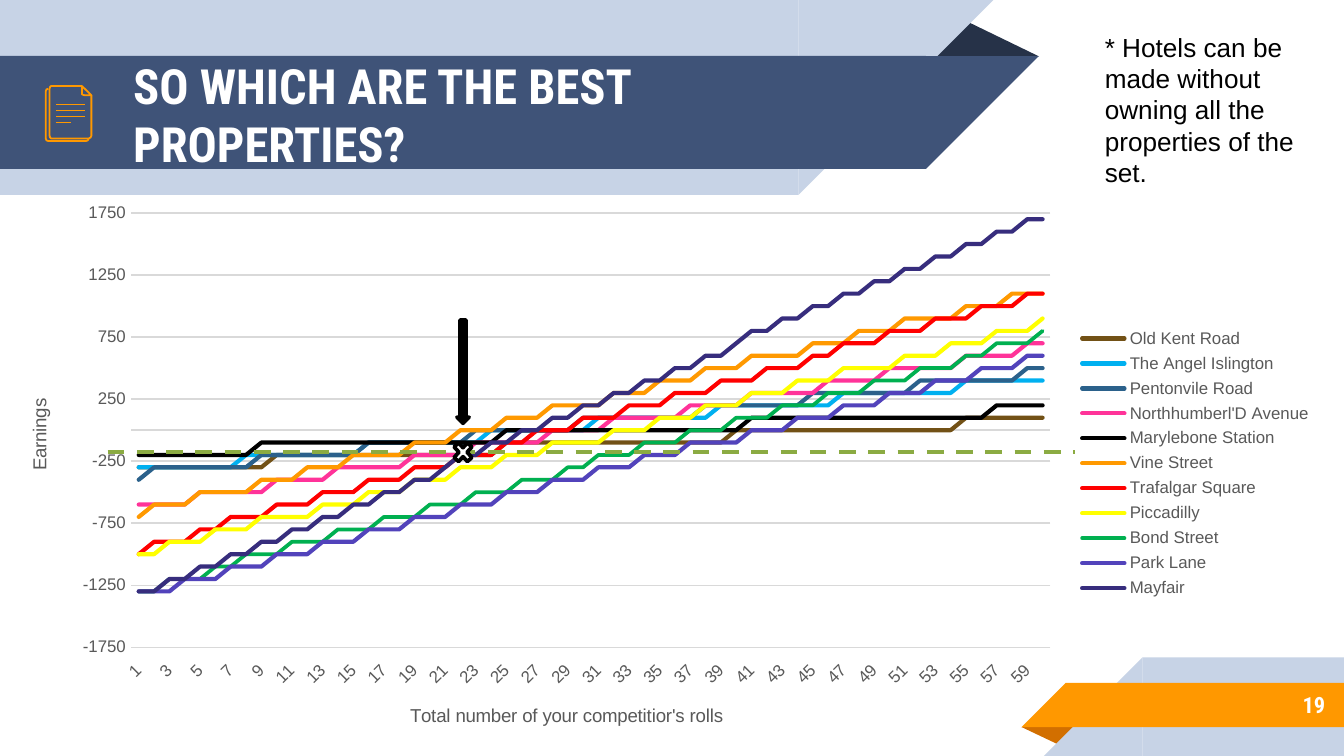
import pptx
import pptx.chart.data
import pptx.dml.color
import pptx.enum.chart
import pptx.enum.dml
import pptx.enum.shapes
import pptx.enum.text
import pptx.oxml
import pptx.oxml.ns
import pptx.util

Pt = pptx.util.Pt
RGBColor = pptx.dml.color.RGBColor
Shape = pptx.enum.shapes.MSO_SHAPE
Align = pptx.enum.text.PP_ALIGN
Anchor = pptx.enum.text.MSO_ANCHOR

WHITE = RGBColor(0xFF, 0xFF, 0xFF)
BLACK = RGBColor(0x00, 0x00, 0x00)
PALE = RGBColor(0xC7, 0xD3, 0xE6)
NAVY = RGBColor(0x3F, 0x53, 0x78)
DARK_NAVY = RGBColor(0x26, 0x32, 0x48)
ORANGE = RGBColor(0xFF, 0x98, 0x00)
DARK_ORANGE = RGBColor(0xD2, 0x6F, 0x00)
GREEN = RGBColor(0x8B, 0xAB, 0x42)
GREY = RGBColor(0x59, 0x59, 0x59)
GRID = RGBColor(0xD9, 0xD9, 0xD9)

ROLLS = 60
# Property, line colour, earnings after the first and the last roll
PROPERTIES = [
    ("Old Kent Road", RGBColor(0x72, 0x51, 0x16), -305, 85),
    ("The Angel Islington", RGBColor(0x00, 0xB0, 0xF0), -335, 427),
    ("Pentonvile Road", RGBColor(0x2B, 0x61, 0x8B), -355, 470),
    ("Northhumberl'D Avenue", RGBColor(0xFF, 0x33, 0x99), -637, 677),
    ("Marylebone Station", BLACK, -195, 173),
    ("Vine Street", RGBColor(0xFF, 0x99, 0x00), -670, 1130),
    ("Trafalgar Square", RGBColor(0xFF, 0x00, 0x00), -955, 1105),
    ("Piccadilly", RGBColor(0xFF, 0xFF, 0x00), -1000, 863),
    ("Bond Street", RGBColor(0x00, 0xB0, 0x50), -1290, 758),
    ("Park Lane", RGBColor(0x52, 0x43, 0xBB), -1319, 597),
    ("Mayfair", RGBColor(0x37, 0x2D, 0x7D), -1349, 1749),
]


def add_text(text, left, top, width, height, size, font="Arial", color=BLACK,
             bold=False, align=Align.LEFT, anchor=Anchor.TOP, inset=3.6):
    box = page.shapes.add_textbox(Pt(left), Pt(top), Pt(width), Pt(height))
    frame = box.text_frame
    frame.word_wrap = True
    frame.vertical_anchor = anchor
    frame.margin_top = frame.margin_bottom = Pt(inset)
    para = frame.paragraphs[0]
    para.alignment = align
    span = para.add_run()
    span.text = text
    span.font.name = font
    span.font.size = Pt(size)
    span.font.bold = bold
    span.font.color.rgb = color


def set_layout(parent, index, inner=False, **places):
    """Place a chart part by fractions of the chart's size."""
    for old in parent.findall(pptx.oxml.ns.qn("c:layout")):
        parent.remove(old)
    target = '<c:layoutTarget val="inner"/>' if inner else ""
    modes = "".join(f'<c:{key}Mode val="edge"/>' for key in ("x", "y"))
    values = "".join(f'<c:{key} val="{value}"/>' for key, value in places.items())
    parent.insert(index, pptx.oxml.parse_xml(
        f'<c:layout {pptx.oxml.ns.nsdecls("c")}><c:manualLayout>'
        f'{target}{modes}{values}</c:manualLayout></c:layout>'))


deck = pptx.Presentation()
deck.slide_width, deck.slide_height = Pt(720), Pt(405)
page = deck.slides.add_slide(deck.slide_layouts[6])

# Ribbons: kind, left, top, width, height, colour, rotation, mirrored
ribbons = [
    (Shape.ISOSCELES_TRIANGLE, 495.4, 10, 61.2, 20.2, DARK_NAVY, 0, False),
    (Shape.RECTANGLE, 0, 0, 427.7, 104.4, PALE, 0, False),
    (Shape.RIGHT_TRIANGLE, 427.7, 0, 104.4, 104.4, PALE, 180, True),
    (Shape.RECTANGLE, 0, 30, 496.1, 60.5, NAVY, 0, False),
    (Shape.RIGHT_TRIANGLE, 496.1, 30, 60.5, 60.5, NAVY, 180, True),
    (Shape.ISOSCELES_TRIANGLE, 547.2, 389.5, 31, 10, DARK_ORANGE, 180, False),
    (Shape.RECTANGLE, 612, 352.2, 108, 52.8, PALE, 0, False),
    (Shape.RIGHT_TRIANGLE, 559.2, 352.2, 52.8, 52.8, PALE, 0, True),
    (Shape.RECTANGLE, 571, 365.8, 149, 23.8, ORANGE, 0, False),
    (Shape.RIGHT_TRIANGLE, 547.2, 365.8, 23.8, 23.8, ORANGE, 0, True),
]
for kind, left, top, width, height, color, rotation, mirrored in ribbons:
    ribbon = page.shapes.add_shape(kind, Pt(left), Pt(top), Pt(width), Pt(height))
    ribbon.shadow.inherit = False
    ribbon.fill.solid()
    ribbon.fill.fore_color.rgb = color
    ribbon.line.fill.background()
    ribbon.rotation = rotation
    if mirrored:
        ribbon._element.spPr.xfrm.set("flipH", "1")
    if kind == Shape.ISOSCELES_TRIANGLE:
        ribbon.adjustments[0] = 0.32

add_text("SO WHICH ARE THE BEST PROPERTIES?", 64.3, 31, 414, 60.5, size=26,
         font="Roboto Condensed", color=WHITE, bold=True, anchor=Anchor.MIDDLE,
         inset=7.2)

# Earnings chart, with values to the nearest hundred
data = pptx.chart.data.CategoryChartData(number_format="General")
data.categories = [str(roll) for roll in range(1, ROLLS + 1)]
for name, color, first, last in PROPERTIES:
    step = (last - first) / (ROLLS - 1)
    data.add_series(name, [100 * round((first + step * roll) / 100)
                           for roll in range(ROLLS)])
chart = page.shapes.add_chart(
    pptx.enum.chart.XL_CHART_TYPE.LINE, Pt(0), Pt(91.6), Pt(709.6), Pt(314), data).chart
chart.has_title = False
chart.font.name = "Arial"
chart.font.size = Pt(9)
chart.font.color.rgb = GREY
set_layout(chart._chartSpace.chart.plotArea, 0, inner=True,
           x=0.099, y=0.019, w=0.694, h=0.794)

for series, (name, color, first, last) in zip(chart.plots[0].series, PROPERTIES):
    series.smooth = False
    series.marker.style = pptx.enum.chart.XL_MARKER_STYLE.NONE
    series.format.line.color.rgb = color
    series.format.line.width = Pt(2 if name == "Bond Street" else 2.25)
    series._element.spPr.find(pptx.oxml.ns.qn("a:ln")).set("cap", "rnd")

rolls_axis, earnings_axis = chart.category_axis, chart.value_axis
for axis, title, x, y in (
        (rolls_axis, "Total number of your competitior's rolls", 0.307, 0.903),
        (earnings_axis, "Earnings", 0.018, 0.383)):
    axis.major_tick_mark = axis.minor_tick_mark = pptx.enum.chart.XL_TICK_MARK.NONE
    axis.tick_labels.font.size = Pt(9)
    axis.tick_labels.font.color.rgb = GREY
    para = axis.axis_title.text_frame.paragraphs[0]
    span = para.add_run()
    span.text = title
    span.font.name = "Arial"
    span.font.size = Pt(10)
    span.font.bold = False
    span.font.color.rgb = GREY
    set_layout(axis.axis_title._element, 1, x=x, y=y)

rolls_axis.tick_label_position = pptx.enum.chart.XL_TICK_LABEL_POSITION.LOW
rolls_axis.format.line.color.rgb = GRID
rolls_axis.format.line.width = Pt(0.75)
rolls_axis._element.txPr.bodyPr.set("rot", "-2700000")
earnings_axis.minimum_scale = -1750
earnings_axis.maximum_scale = 2000
earnings_axis.major_unit = 500
earnings_axis.format.line.fill.background()
earnings_axis.major_gridlines.format.line.color.rgb = GRID
earnings_axis.major_gridlines.format.line.width = Pt(0.75)

chart.has_legend = True
chart.legend.position = pptx.enum.chart.XL_LEGEND_POSITION.RIGHT
chart.legend.include_in_layout = False
chart.legend.font.size = Pt(9)
chart.legend.font.color.rgb = GREY
set_layout(chart.legend._element, 1, x=0.81, y=0.26, w=0.185, h=0.478)

# Document icon: outline points and whether the outline is closed
back_sheet = [(47.5, 74.2), (47.1, 75.2), (46.1, 75.6), (25.9, 75.6), (24.9, 75.2),
              (24.5, 74.2), (24.5, 49), (24.9, 47.9), (25.9, 47.5)]
front_sheet = [(49, 51.1), (49, 72.7), (48.6, 73.7), (47.5, 74.2), (27.4, 74.2),
               (26.9, 73.7), (26.6, 72.7), (26.6, 47.5), (26.9, 46.5), (27.4, 46.1),
               (43.9, 46.1)]
folded_corner = [(43.9, 50.4), (43.9, 46.1), (49, 51.1), (45.4, 51.1), (44.3, 50.8)]
for points, closed in ((back_sheet, False), (front_sheet, False), (folded_corner, True)):
    corners = [(Pt(x), Pt(y)) for x, y in points]
    builder = page.shapes.build_freeform(*corners[0])
    builder.add_line_segments(corners[1:], close=closed)
    outline = builder.convert_to_shape()
    outline.shadow.inherit = False
    outline.fill.background()
    outline.line.color.rgb = ORANGE
    outline.line.width = Pt(0.96)

# Icon text lines and the dashed level: left, right, height, colour, width
rules = [(30.2, right, 56 + 3.2 * row, ORANGE, 0.96)
         for row, right in enumerate((45.4, 45.4, 45.4, 38.2))]
rules.append((57.6, 576, 242, GREEN, 2.25))
for left, right, y, color, width in rules:
    rule = page.shapes.add_connector(
        pptx.enum.shapes.MSO_CONNECTOR.STRAIGHT, Pt(left), Pt(y), Pt(right), Pt(y))
    rule._element.spPr.append(
        pptx.oxml.parse_xml(f'<a:effectLst {pptx.oxml.ns.nsdecls("a")}/>'))
    rule.line.color.rgb = color
    rule.line.width = Pt(width)
rule.line.dash_style = pptx.enum.dml.MSO_LINE.DASH

for kind, left, top, width, height, color in (
        (Shape.DOWN_ARROW, 244.8, 171.4, 6.5, 55.4, BLACK),
        (Shape.MATH_MULTIPLY, 241.2, 234.7, 13.7, 15.1, WHITE)):
    marker = page.shapes.add_shape(kind, Pt(left), Pt(top), Pt(width), Pt(height))
    marker.shadow.inherit = False
    marker.fill.solid()
    marker.fill.fore_color.rgb = color
    marker.line.color.rgb = BLACK
    marker.line.width = Pt(2)

add_text("19", 599.6, 365, 117.4, 25.2, size=12, font="Roboto Condensed", color=WHITE,
         bold=True, align=Align.RIGHT, anchor=Anchor.MIDDLE, inset=7.2)
add_text("* Hotels can be made without owning all the properties of the set.",
         584.8, 13, 125.3, 92.2, size=14)

deck.save("out.pptx")
